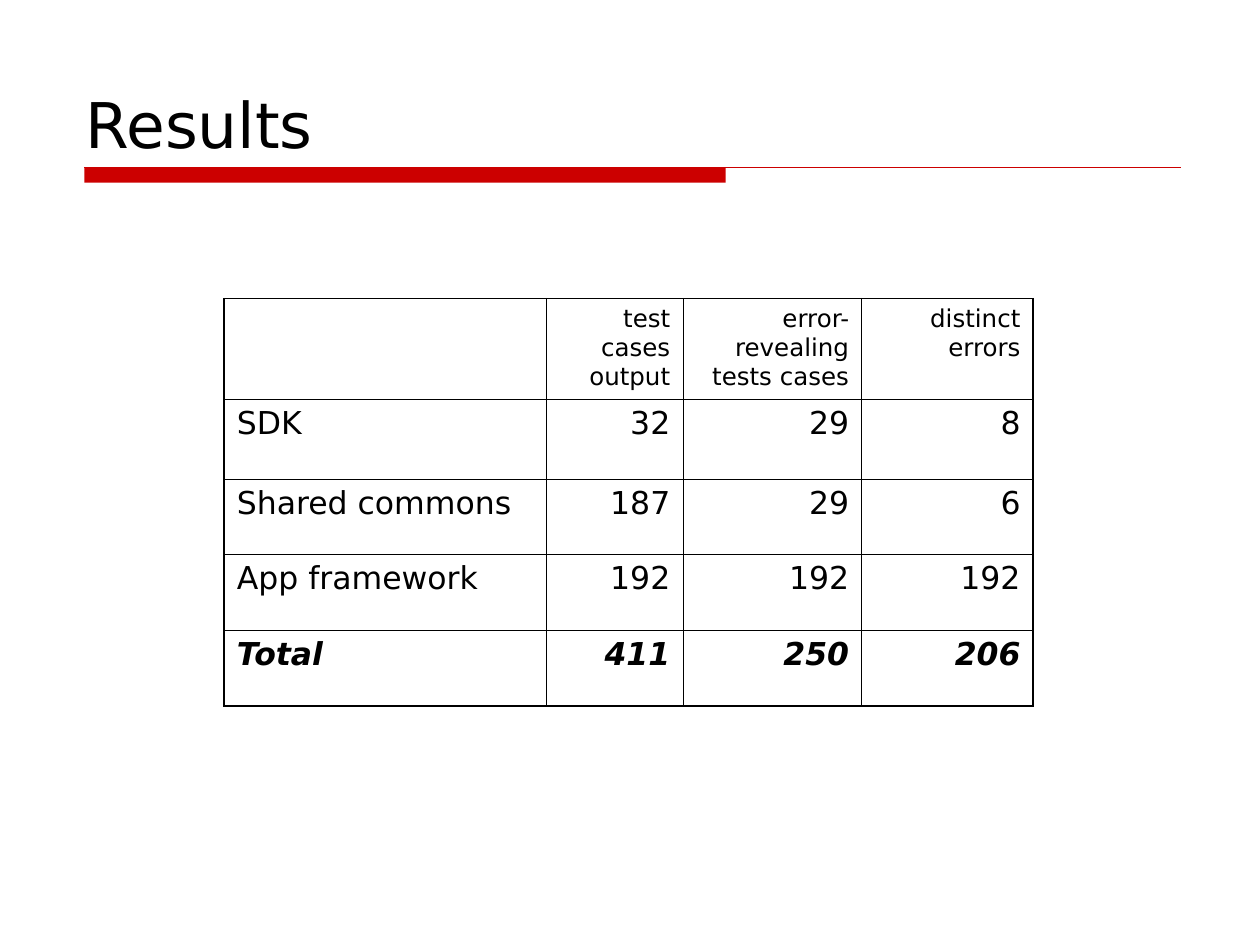
"""Build the Results slide with its table of test cases and errors."""
from lxml import etree
from pptx import Presentation
from pptx.dml.color import RGBColor
from pptx.enum.shapes import MSO_CONNECTOR, MSO_SHAPE
from pptx.enum.text import MSO_ANCHOR, PP_ALIGN
from pptx.oxml.ns import qn
from pptx.util import Inches, Pt

RECTANGLE = MSO_SHAPE.RECTANGLE
STRAIGHT = MSO_CONNECTOR.STRAIGHT
BOTTOM = MSO_ANCHOR.BOTTOM
LEFT, RIGHT = PP_ALIGN.LEFT, PP_ALIGN.RIGHT

TITLE = "Results"
ROWS = [
    ("", "test cases output", "error-revealing tests cases", "distinct errors"),
    ("SDK", "32", "29", "8"),
    ("Shared commons", "187", "29", "6"),
    ("App framework", "192", "192", "192"),
    ("Total", "411", "250", "206"),
]
COLUMN_WIDTHS = [2.56, 1.08, 1.42, 1.36]
ROW_HEIGHTS = [0.8, 0.63, 0.6, 0.6, 0.6]
TABLE_LEFT, TABLE_TOP = 1.78, 2.37

RULE_LEFT, RULE_TOP, RULE_RIGHT = 0.67, 1.33, 9.37
BAND_WIDTH, BAND_HEIGHT = 5.09, 0.12

FONT = "DejaVu Sans"
BLACK, RED = "000000", "CC0000"
THIN, THICK = 0.45, 1.08
TITLE_FORMAT = {"name": FONT, "size": Pt(36)}
HEADER_FORMAT = {"name": FONT, "size": Pt(14), "bold": False}
BODY_FORMAT = {"name": FONT, "size": Pt(18), "bold": False}
TOTAL_FORMAT = {"name": FONT, "size": Pt(18), "bold": True, "italic": True}


def color(value):
    return RGBColor.from_string(value)


def write(paragraph, text, font_format):
    font = paragraph.font
    if text:
        run = paragraph.add_run()
        run.text = text
        font = run.font
    for name, value in font_format.items():
        setattr(font, name, value)
    font.color.rgb = color(BLACK)


def add_title(slide):
    shape = slide.shapes.add_textbox(Inches(0.58), 0, Inches(8.75), Inches(1.33))
    frame = shape.text_frame
    frame.word_wrap = True
    frame.vertical_anchor = BOTTOM
    write(frame.paragraphs[0], TITLE, TITLE_FORMAT)


def add_rule(slide):
    left, top = Inches(RULE_LEFT), Inches(RULE_TOP)
    band = slide.shapes.add_shape(
        RECTANGLE, left, top, Inches(BAND_WIDTH), Inches(BAND_HEIGHT))
    band.shadow.inherit = False
    band.fill.solid()
    band.fill.fore_color.rgb = color(RED)
    band.line.fill.background()
    line = slide.shapes.add_connector(STRAIGHT, left, top, Inches(RULE_RIGHT), top)
    line.line.color.rgb = color(RED)
    line.line.width = Pt(1)
    etree.SubElement(line._element.spPr, qn("a:effectLst"))


def set_borders(cell, widths):
    properties = cell._tc.get_or_add_tcPr()
    for side, width in widths.items():
        border = etree.SubElement(properties, qn(f"a:ln{side}"), w=str(Pt(width)))
        fill = etree.SubElement(border, qn("a:solidFill"))
        etree.SubElement(fill, qn("a:srgbClr"), val=BLACK)


def add_results_table(slide):
    row_count, column_count = len(ROWS), len(COLUMN_WIDTHS)
    table = slide.shapes.add_table(
        row_count, column_count, Inches(TABLE_LEFT), Inches(TABLE_TOP),
        Inches(sum(COLUMN_WIDTHS)), Inches(sum(ROW_HEIGHTS))).table
    table.first_row = False
    table.horz_banding = False
    for column, width in zip(table.columns, COLUMN_WIDTHS):
        column.width = Inches(width)
    for row, height in zip(table.rows, ROW_HEIGHTS):
        row.height = Inches(height)

    last_row, last_column = row_count - 1, column_count - 1
    formats = [HEADER_FORMAT] + [BODY_FORMAT] * (row_count - 2) + [TOTAL_FORMAT]
    for row_index, (texts, font_format) in enumerate(zip(ROWS, formats)):
        for column_index, text in enumerate(texts):
            cell = table.cell(row_index, column_index)
            set_borders(cell, {
                "L": THICK if column_index == 0 else THIN,
                "R": THICK if column_index == last_column else THIN,
                "T": THICK if row_index == 0 else THIN,
                "B": THICK if row_index == last_row else THIN,
            })
            cell.fill.background()
            paragraph = cell.text_frame.paragraphs[0]
            paragraph.alignment = RIGHT if column_index else LEFT
            paragraph.space_before = Pt(4.5 if row_index else 3.5)
            write(paragraph, text, font_format)


def main():
    presentation = Presentation()
    presentation.slide_width = Inches(10)
    presentation.slide_height = Inches(7.5)
    slide = presentation.slides.add_slide(presentation.slide_layouts[6])
    add_rule(slide)
    add_title(slide)
    add_results_table(slide)
    presentation.save("out.pptx")


if __name__ == "__main__":
    main()
